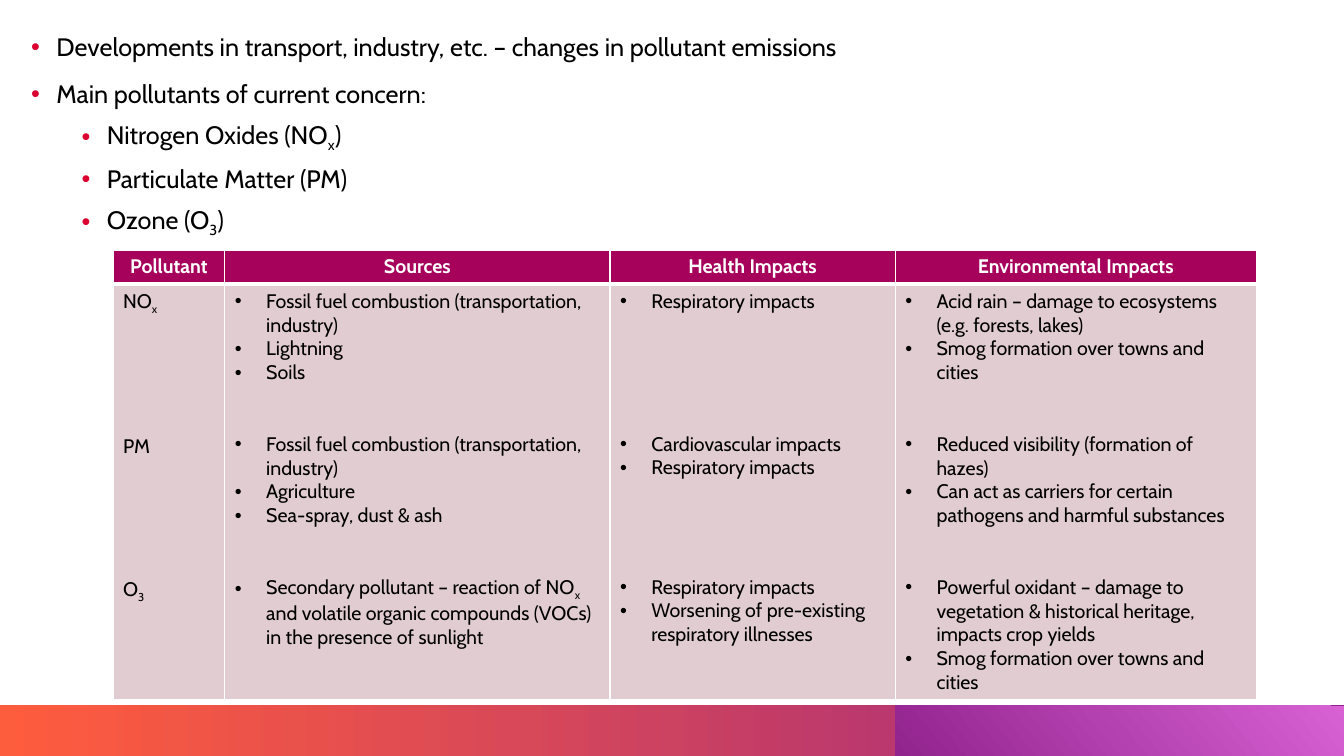
from dataclasses import dataclass

from lxml.etree import SubElement
from pptx import Presentation
from pptx.dml.color import RGBColor as RGB
from pptx.enum.shapes import MSO_SHAPE as SHAPE
from pptx.enum.text import MSO_ANCHOR as ANCHOR, MSO_AUTO_SIZE as AUTO, PP_ALIGN as ALIGN
from pptx.oxml.ns import qn
from pptx.util import Inches, Pt


@dataclass(frozen=True)
class Theme:
    font: str = "Cabin"
    body: int = 18
    cell: int = 14
    line: int = 17
    black: str = "000000"
    white: str = "FFFFFF"
    bullet: str = "DA002F"
    header: str = "A6025C"
    panel: str = "E1CCD2"
    orange: str = "FF411C"
    purple: str = "92248E"
    pink: str = "D861D4"


T = Theme()

POINTS = [
    (0, "Developments in transport, industry, etc. – changes in pollutant emissions"),
    (0, "Main pollutants of current concern:"),
    (1, "Nitrogen Oxides (NO_x)"),
    (1, "Particulate Matter (PM)"),
    (1, "Ozone (O_3)"),
]
LEVELS = [(0.25, 10), (0.75, 5)]

FOSSIL = "Fossil fuel combustion (transportation, industry)"
SMOG = "Smog formation over towns and cities"
RESPIRATORY = "Respiratory impacts"
COLUMNS = [
    ("Pollutant", 1.11, [(1, ["NO_x"]), (1, ["PM"]), (1, ["O_3"])]),
    ("Sources", 3.82, [
        (4, [FOSSIL, "Lightning", "Soils"]),
        (4, [FOSSIL, "Agriculture", "Sea-spray, dust & ash"]),
        (3, ["Secondary pollutant – reaction of NO_x and volatile organic "
             "compounds (VOCs) in the presence of sunlight"]),
    ]),
    ("Health Impacts", 2.83, [
        (1, [RESPIRATORY]),
        (2, ["Cardiovascular impacts", RESPIRATORY]),
        (3, [RESPIRATORY, "Worsening of pre-existing respiratory illnesses"]),
    ]),
    ("Environmental Impacts", 3.58, [
        (4, ["Acid rain – damage to ecosystems (e.g. forests, lakes)", SMOG]),
        (4, ["Reduced visibility (formation of hazes)",
             "Can act as carriers for certain pathogens and harmful substances"]),
        (5, ["Powerful oxidant – damage to vegetation & historical heritage, "
             "impacts crop yields", SMOG]),
    ]),
]
GROUP_LINES = 6
ROWS = [0.34, 4.12]

BARS = [
    (0, 13.33, 0, [(T.orange, 85), (T.purple, 100)]),
    (8.88, 4.46, 220, [(T.pink, 100), (T.purple, 100)]),
]


def set_bullet(p, left, hang, color):
    pPr = p._p.get_or_add_pPr()
    pPr.set("marL", str(Inches(left)))
    pPr.set("indent", str(-Inches(hang)))
    SubElement(SubElement(pPr, qn("a:buClr")), qn("a:srgbClr"), val=color)
    SubElement(pPr, qn("a:buFont"), typeface="Arial")
    SubElement(pPr, qn("a:buChar"), char="•")


def add_run(p, text, size, color, bold=False, sub=False):
    r = p.add_run()
    r.text = text
    r.font.name = T.font
    r.font.size = Pt(size)
    r.font.bold = bold
    r.font.color.rgb = RGB.from_string(color)
    if sub:
        r._r.get_or_add_rPr().set("baseline", "-25000")


def write(p, text, size, color=T.black, bold=False):
    first, *rest = text.split("_")
    add_run(p, first, size, color, bold)
    for part in rest:
        add_run(p, part[0], size, color, bold, sub=True)
        if part[1:]:
            add_run(p, part[1:], size, color, bold)


def next_paragraph(tf, index):
    return tf.add_paragraph() if index else tf.paragraphs[0]


def add_rect(slide, left, top, width, height):
    s = slide.shapes.add_shape(SHAPE.RECTANGLE, *map(Inches, (left, top, width, height)))
    s.shadow.inherit = False
    s.line.fill.background()
    return s


def add_backdrop(slide):
    paint(add_rect(slide, 0, 0, 13.33, 7.5), T.white)


def add_bar(slide, left, width, angle, stops):
    s = add_rect(slide, left, 7, width, 0.5)
    s.fill.gradient()
    s.fill.gradient_angle = angle
    for stop, (color, _) in zip(s.fill.gradient_stops, stops):
        stop.color.rgb = RGB.from_string(color)
    for clr, (_, alpha) in zip(s._element.xpath(".//a:gs/a:srgbClr"), stops):
        if alpha < 100:
            SubElement(clr, qn("a:alpha"), val=str(alpha * 1000))


def add_points(slide):
    s = slide.placeholders[1]
    s.left, s.top, s.width, s.height = map(Inches, (0.31, 0.28, 9.89, 2.11))
    tf = s.text_frame
    tf.margin_left = tf.margin_top = tf.margin_right = tf.margin_bottom = 0
    tf.word_wrap = True
    tf.auto_size = AUTO.NONE
    tf.vertical_anchor = ANCHOR.TOP
    for i, (level, text) in enumerate(POINTS):
        left, before = LEVELS[level]
        p = next_paragraph(tf, i)
        p.level = level
        p.line_spacing = 1.1
        p.space_before = Pt(before if i else 0)
        set_bullet(p, left, 0.25, T.bullet)
        write(p, text, T.body)


def paint(obj, color):
    obj.fill.solid()
    obj.fill.fore_color.rgb = RGB.from_string(color)


def set_borders(cell, **widths):
    tcPr = cell._tc.get_or_add_tcPr()
    for side in "LRTB":
        ln = SubElement(tcPr, qn(f"a:ln{side}"), w=str(Pt(widths.get(side, 1))))
        SubElement(SubElement(ln, qn("a:solidFill")), qn("a:srgbClr"), val=T.white)


def write_groups(tf, groups, bulleted):
    gap = count = 0
    for lines, items in groups:
        for i, text in enumerate(items):
            p = next_paragraph(tf, count)
            p.space_before = Pt(0 if i else gap)
            if bulleted:
                set_bullet(p, 0.31, 0.31, T.black)
            write(p, text, T.cell)
            count += 1
        gap = (GROUP_LINES - lines) * T.line


def add_pollutant_table(slide):
    width = sum(w for _, w, _ in COLUMNS)
    frame = slide.shapes.add_table(len(ROWS), len(COLUMNS), Inches(1.12), Inches(2.48),
                                   Inches(width), Inches(sum(ROWS)))
    table = frame.table
    table.horz_banding = False
    for row, height in zip(table.rows, ROWS):
        row.height = Inches(height)
    for c, (title, col_width, groups) in enumerate(COLUMNS):
        table.columns[c].width = Inches(col_width)
        head, body = table.cell(0, c), table.cell(1, c)
        set_borders(head, B=3)
        set_borders(body, T=3)
        paint(head, T.header)
        paint(body, T.panel)
        p = head.text_frame.paragraphs[0]
        p.alignment = ALIGN.CENTER
        write(p, title, T.cell, T.white, bold=True)
        write_groups(body.text_frame, groups, bulleted=c > 0)


def main():
    prs = Presentation()
    prs.slide_width, prs.slide_height = Inches(13.33), Inches(7.5)
    slide = prs.slides.add_slide(prs.slide_layouts[1])
    title = slide.shapes.title._element
    title.getparent().remove(title)
    add_backdrop(slide)
    for bar in BARS:
        add_bar(slide, *bar)
    points = slide.placeholders[1]._element
    points.getparent().append(points)
    add_points(slide)
    add_pollutant_table(slide)
    prs.save("out.pptx")


if __name__ == "__main__":
    main()
